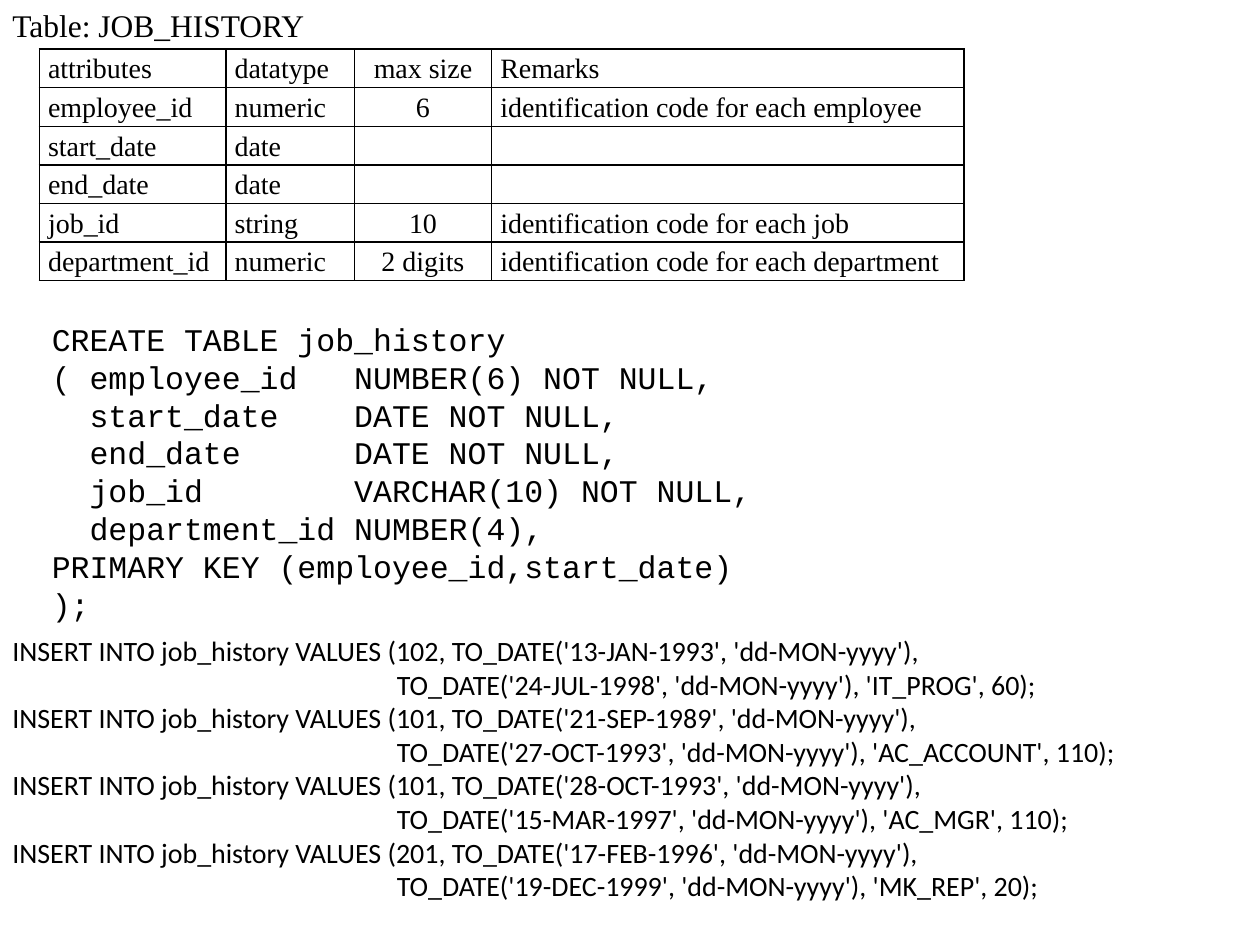
from dataclasses import dataclass

from lxml import etree
from pptx import Presentation
from pptx.dml.color import RGBColor
from pptx.enum.text import MSO_ANCHOR, MSO_AUTO_SIZE, PP_ALIGN
from pptx.oxml.ns import qn
from pptx.util import Pt

LEFT, CENTER = PP_ALIGN.LEFT, PP_ALIGN.CENTER
TOP, MIDDLE = MSO_ANCHOR.TOP, MSO_ANCHOR.MIDDLE
NO_AUTOFIT = MSO_AUTO_SIZE.NONE
BLANK_LAYOUT = 6


@dataclass(frozen=True)
class Theme:
    ink: str = "000000"
    serif: str = "Times New Roman"
    mono: str = "Courier New"
    sans: str = "Calibri"
    large: int = 18
    small: int = 16
    border: int = 1


THEME = Theme()

COLUMN_WIDTHS = (106.56, 73.44, 78.48, 270)
COLUMN_ALIGNMENTS = (LEFT, LEFT, CENTER, LEFT)
ATTRIBUTE_ROWS = (
    ("attributes", "datatype", "max size", "Remarks"),
    ("employee_id", "numeric", "6", "identification code for each employee"),
    ("start_date", "date", "", ""),
    ("end_date", "date", "", ""),
    ("job_id", "string", "10", "identification code for each job"),
    ("department_id", "numeric", "2 digits", "identification code for each department"),
)

CREATE_STATEMENT = """CREATE TABLE job_history
( employee_id   NUMBER(6) NOT NULL,
  start_date    DATE NOT NULL,
  end_date      DATE NOT NULL,
  job_id        VARCHAR(10) NOT NULL,
  department_id NUMBER(4),
PRIMARY KEY (employee_id,start_date)
);"""

# Employee, start date, end date, job, department
HISTORY = (
    (102, "13-JAN-1993", "24-JUL-1998", "IT_PROG", 60),
    (101, "21-SEP-1989", "27-OCT-1993", "AC_ACCOUNT", 110),
    (101, "28-OCT-1993", "15-MAR-1997", "AC_MGR", 110),
    (201, "17-FEB-1996", "19-DEC-1999", "MK_REP", 20),
)
CODE_INDENT = " " * 61


def write_line(paragraph, text, font_name, size):
    run = paragraph.add_run()
    run.text = text
    for attribute, value in {"name": font_name, "size": Pt(size)}.items():
        setattr(run.font, attribute, value)
    run.font.color.rgb = RGBColor.from_string(THEME.ink)


def add_text(slide, box, lines, font_name, size, anchor=TOP):
    frame = slide.shapes.add_textbox(*map(Pt, box)).text_frame
    settings = {"word_wrap": True, "auto_size": NO_AUTOFIT, "vertical_anchor": anchor}
    for attribute, value in settings.items():
        setattr(frame, attribute, value)
    for index, line in enumerate(lines):
        paragraph = frame.add_paragraph() if index else frame.paragraphs[0]
        write_line(paragraph, line, font_name, size)


def set_borders(cell):
    properties = cell._tc.get_or_add_tcPr()
    for position, side in enumerate(("lnL", "lnR", "lnT", "lnB")):
        line = etree.Element(qn(f"a:{side}"), w=str(Pt(THEME.border)))
        fill = etree.SubElement(line, qn("a:solidFill"))
        etree.SubElement(fill, qn("a:srgbClr"), val=THEME.ink)
        properties.insert(position, line)


def format_cell(cell, text, alignment):
    margins = {"margin_left": 5, "margin_right": 5, "margin_top": 0, "margin_bottom": 0}
    for attribute, value in margins.items():
        setattr(cell, attribute, Pt(value))
    cell.fill.background()
    set_borders(cell)
    if text:
        paragraph = cell.text_frame.paragraphs[0]
        paragraph.alignment = alignment
        paragraph.line_spacing = 1.15
        write_line(paragraph, text, THEME.serif, THEME.small)


def add_attribute_table(slide, box):
    row_count, column_count = len(ATTRIBUTE_ROWS), len(COLUMN_WIDTHS)
    table = slide.shapes.add_table(row_count, column_count, *map(Pt, box)).table
    table.first_row = table.horz_banding = False
    for column, width in zip(table.columns, COLUMN_WIDTHS):
        column.width = Pt(width)
    for row, texts in zip(table.rows, ATTRIBUTE_ROWS):
        row.height = Pt(box[3] / row_count)
        for cell, text, alignment in zip(row.cells, texts, COLUMN_ALIGNMENTS):
            format_cell(cell, text, alignment)


def add_insert_statements(slide, box):
    lines = []
    for employee, start, end, job, department in HISTORY:
        lines += [
            f"INSERT INTO job_history VALUES ({employee}, TO_DATE('{start}', 'dd-MON-yyyy'),",
            f"{CODE_INDENT}TO_DATE('{end}', 'dd-MON-yyyy'), '{job}', {department});",
        ]
    add_text(slide, box, lines, THEME.sans, THEME.small)


def main():
    presentation = Presentation()
    presentation.slide_width, presentation.slide_height = Pt(720), Pt(540)
    slide = presentation.slides.add_slide(presentation.slide_layouts[BLANK_LAYOUT])

    # Heading and attribute table
    add_text(slide, (0, 0, 224.64, 28.8), ["Table: JOB_HISTORY"],
             THEME.serif, THEME.large, MIDDLE)
    add_attribute_table(slide, (22.5, 28.08, sum(COLUMN_WIDTHS), 132.48))

    # SQL statements
    add_text(slide, (22.5, 179.28, 433.44, 181.44), CREATE_STATEMENT.splitlines(),
             THEME.mono, THEME.large)
    add_insert_statements(slide, (0, 358.56, 720, 162.72))

    presentation.save("out.pptx")


if __name__ == "__main__":
    main()
